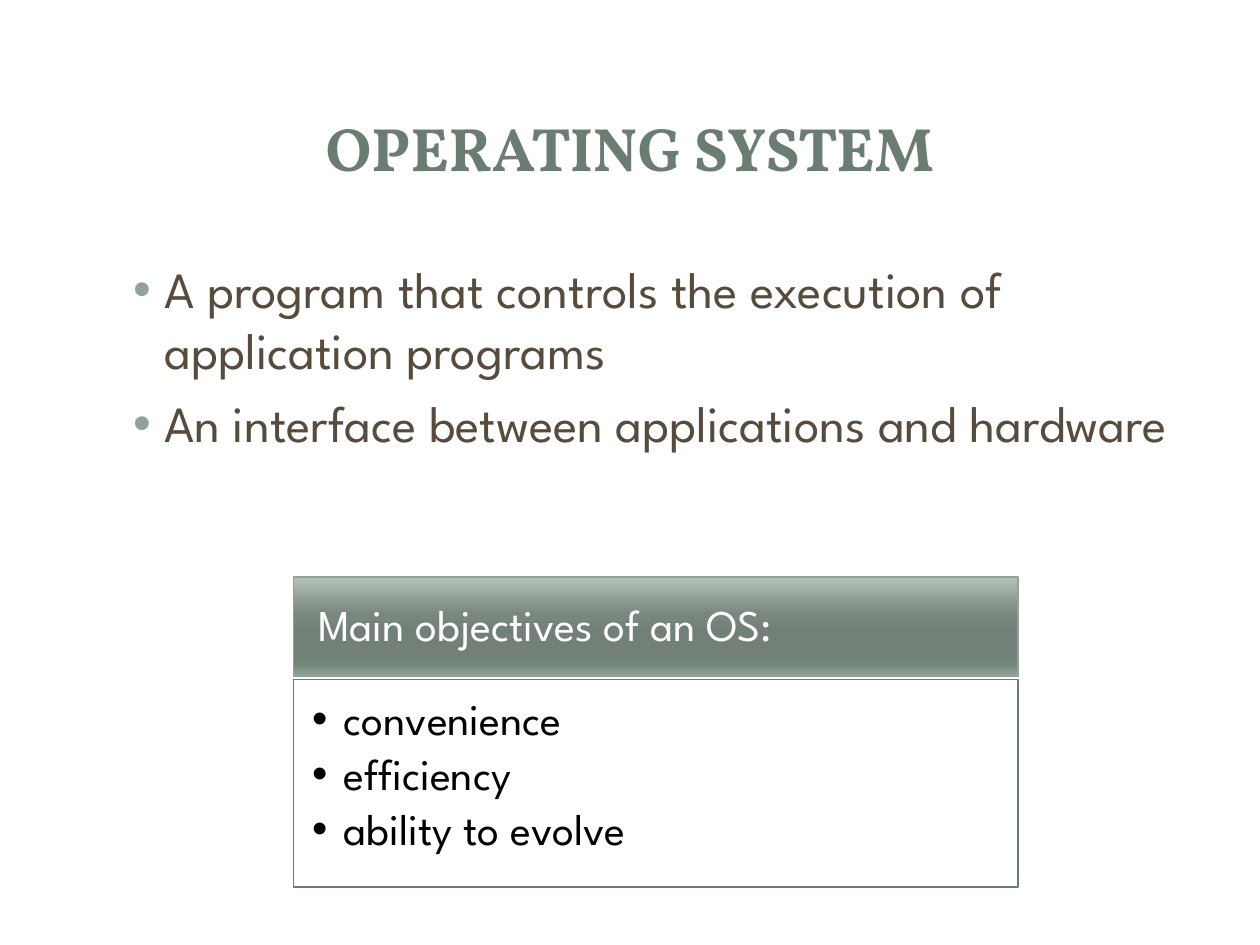
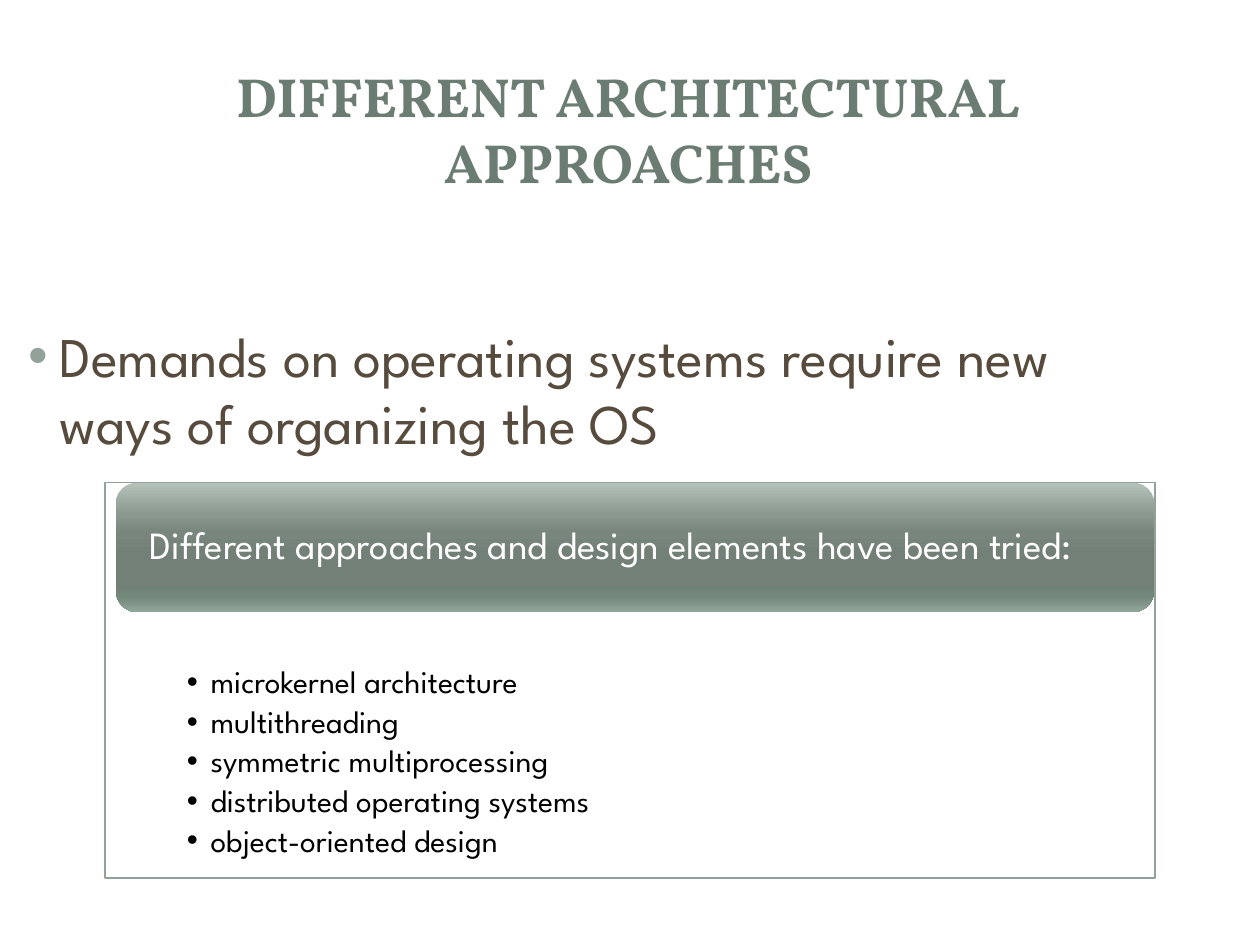
"""Build two slides on operating systems and their architectural approaches."""
from typing import NamedTuple

from lxml import etree
from pptx import Presentation
from pptx.dml.color import RGBColor
from pptx.enum.shapes import MSO_SHAPE
from pptx.enum.text import MSO_ANCHOR, PP_ALIGN
from pptx.oxml.ns import qn
from pptx.util import Pt

RECT, ROUNDED = MSO_SHAPE.RECTANGLE, MSO_SHAPE.ROUNDED_RECTANGLE
TOP, MIDDLE = MSO_ANCHOR.TOP, MSO_ANCHOR.MIDDLE
LEFT, CENTER = PP_ALIGN.LEFT, PP_ALIGN.CENTER

WHITE = RGBColor(0xFF, 0xFF, 0xFF)
BLACK = RGBColor(0x00, 0x00, 0x00)
SAGE = RGBColor(0x93, 0xA2, 0x99)
DARK_SAGE = RGBColor(0x6B, 0x7D, 0x72)
BROWN = RGBColor(0x56, 0x4B, 0x3C)
HEADER_GRADIENT = (
    (0, RGBColor(0xB6, 0xC3, 0xBB)),
    (25, RGBColor(0x8B, 0x98, 0x90)),
    (38, RGBColor(0x79, 0x86, 0x7E)),
    (55, RGBColor(0x72, 0x80, 0x78)),
    (80, RGBColor(0x70, 0x81, 0x76)),
    (88, RGBColor(0x75, 0x88, 0x7C)),
    (100, RGBColor(0x91, 0xA7, 0x9A)),
)
TITLE_FONT, BODY_FONT = "Vollkorn", "League Spartan"
LINE_HEIGHT = 1.18


class Box(NamedTuple):
    """Place and size in points."""
    left: float
    top: float
    width: float
    height: float


class Style(NamedTuple):
    """Look of a block of text, lengths in points and spacing in lines."""
    size: float
    color: RGBColor
    font: str = BODY_FONT
    bold: bool = False
    align: PP_ALIGN = LEFT
    anchor: MSO_ANCHOR = TOP
    insets: tuple = (7.2, 3.6, 7.2, 3.6)
    line_spacing: float = 1.0
    before: float = 0
    after: float = 0
    margin: float = 0
    hanging: float = 0
    bullet_color: RGBColor | None = None


class Panel(NamedTuple):
    """A filled shape with an optional outline and optional text."""
    box: Box
    kind: MSO_SHAPE = RECT
    outline: RGBColor | None = None
    gradient: bool = False
    opacity: int = 100
    corner: float | None = None
    lines: tuple = ()
    style: Style | None = None


class Page(NamedTuple):
    """The title, main points and panels of one slide."""
    title: str
    title_box: Box
    title_size: float
    points: tuple
    points_box: Box
    points_size: float
    panels: tuple


BACKDROP = (
    Panel(Box(7.2, 7.92, 705.6, 524.88), ROUNDED, corner=0.017),
    Panel(Box(21.6, 21.6, 676.8, 104.4), opacity=83),
    Panel(Box(29.52, 29.52, 660.24, 87.84)),
)


def header_style(size: float, insets: tuple) -> Style:
    """Return the white style of a gradient header."""
    return Style(size, WHITE, anchor=MIDDLE, insets=insets, line_spacing=0.9, after=0.35)


def list_style(size: float, insets: tuple, indent: float) -> Style:
    """Return the bulleted style of the list under a header."""
    return Style(size, BLACK, insets=insets, line_spacing=0.9, after=0.15,
                 margin=indent, hanging=indent, bullet_color=BLACK)


PAGES = (
    Page(
        "OPERATING SYSTEM", Box(51.84, 36, 616.32, 95.76), 35,
        ("A program that controls the execution of application programs",
         "An interface between applications and hardware"),
        Box(60, 144, 648, 162), 29,
        (Panel(Box(167.76, 329.76, 414, 56.88), outline=SAGE, gradient=True,
               lines=("Main objectives of an OS:",),
               style=header_style(25, (14, 8, 14, 8))),
         Panel(Box(167.76, 388.08, 414, 118.8), outline=DARK_SAGE,
               lines=("convenience", "efficiency", "ability to evolve"),
               style=list_style(25, (10.67, 10.67, 14, 16), 18))),
    ),
    Page(
        "DIFFERENT ARCHITECTURAL APPROACHES", Box(33.84, 32.4, 650.16, 82.08), 31.5,
        ("Demands on operating systems require new ways of organizing the OS",),
        Box(0, 180, 630, 312), 32,
        (Panel(Box(60, 275.76, 600, 226.08), outline=SAGE, opacity=90,
               lines=("microkernel architecture", "multithreading",
                      "symmetric multiprocessing", "distributed operating systems",
                      "object-oriented design"),
               style=list_style(18, (46.8, 105.12, 46.8, 10), 13.5)),
         Panel(Box(66.24, 275.76, 593.28, 74.16), ROUNDED, gradient=True,
               lines=("Different approaches and design elements have been tried:",),
               style=header_style(22, (15.84, 0, 15.84, 0)))),
    ),
)


def add_bullet(paragraph, style: Style) -> None:
    """Give a paragraph a hanging coloured bullet."""
    properties = paragraph._p.get_or_add_pPr()
    properties.set("marL", str(Pt(style.margin)))
    properties.set("indent", str(-Pt(style.hanging)))
    color = etree.SubElement(properties, qn("a:buClr"))
    etree.SubElement(color, qn("a:srgbClr"), val=str(style.bullet_color))
    etree.SubElement(properties, qn("a:buFont"), typeface="Arial")
    etree.SubElement(properties, qn("a:buChar"), char="•")


def write(shape, lines: tuple, style: Style) -> None:
    """Fill a shape with styled paragraphs."""
    frame = shape.text_frame
    frame.word_wrap = True
    frame.vertical_anchor = style.anchor
    (frame.margin_left, frame.margin_top,
     frame.margin_right, frame.margin_bottom) = map(Pt, style.insets)
    frame.text = "\n".join(lines)
    for paragraph in frame.paragraphs:
        paragraph.alignment = style.align
        paragraph.line_spacing = style.line_spacing
        paragraph.space_before = Pt(style.before * style.size * LINE_HEIGHT)
        paragraph.space_after = Pt(style.after * style.size * LINE_HEIGHT)
        if style.bullet_color is not None:
            add_bullet(paragraph, style)
        for run in paragraph.runs:
            run.font.name = style.font
            run.font.size = Pt(style.size)
            run.font.bold = style.bold
            run.font.color.rgb = style.color


def add_text(slide, box: Box, lines: tuple, style: Style) -> None:
    """Add a text box."""
    write(slide.shapes.add_textbox(*map(Pt, box)), lines, style)


def fill_gradient(shape) -> None:
    """Fill a shape with the header gradient, from top to bottom."""
    shape.fill.gradient()
    shape.fill.gradient_angle = 270
    stops = shape._element.spPr.find(qn("a:gradFill")).find(qn("a:gsLst"))
    for stop in list(stops):
        stops.remove(stop)
    for percent, color in HEADER_GRADIENT:
        stop = etree.SubElement(stops, qn("a:gs"), pos=str(percent * 1000))
        etree.SubElement(stop, qn("a:srgbClr"), val=str(color))


def add_panel(slide, panel: Panel) -> None:
    """Draw a panel with its text."""
    shape = slide.shapes.add_shape(panel.kind, *map(Pt, panel.box))
    shape.shadow.inherit = False
    if panel.corner is not None:
        shape.adjustments[0] = panel.corner
    if panel.gradient:
        fill_gradient(shape)
    else:
        shape.fill.solid()
        shape.fill.fore_color.rgb = WHITE
        if panel.opacity < 100:
            color = shape._element.spPr.find(qn("a:solidFill"))[0]
            etree.SubElement(color, qn("a:alpha"), val=str(panel.opacity * 1000))
    if panel.outline is None:
        shape.line.fill.background()
    else:
        shape.line.color.rgb = panel.outline
        shape.line.width = Pt(0.75)
    if panel.style is not None:
        write(shape, panel.lines, panel.style)


def add_page(presentation, page: Page) -> None:
    """Add one slide with backdrop, title, points and panels."""
    slide = presentation.slides.add_slide(presentation.slide_layouts[6])
    for panel in BACKDROP:
        add_panel(slide, panel)
    add_text(slide, page.title_box, (page.title,),
             Style(page.title_size, DARK_SAGE, TITLE_FONT, True, CENTER, MIDDLE))
    add_text(slide, page.points_box, page.points,
             Style(page.points_size, BROWN, before=0.2, margin=27, hanging=18,
                   bullet_color=SAGE))
    for panel in page.panels:
        add_panel(slide, panel)


def main() -> None:
    """Build and save the presentation."""
    presentation = Presentation()
    presentation.slide_width, presentation.slide_height = Pt(720), Pt(540)
    for page in PAGES:
        add_page(presentation, page)
    presentation.save("out.pptx")


if __name__ == "__main__":
    main()
